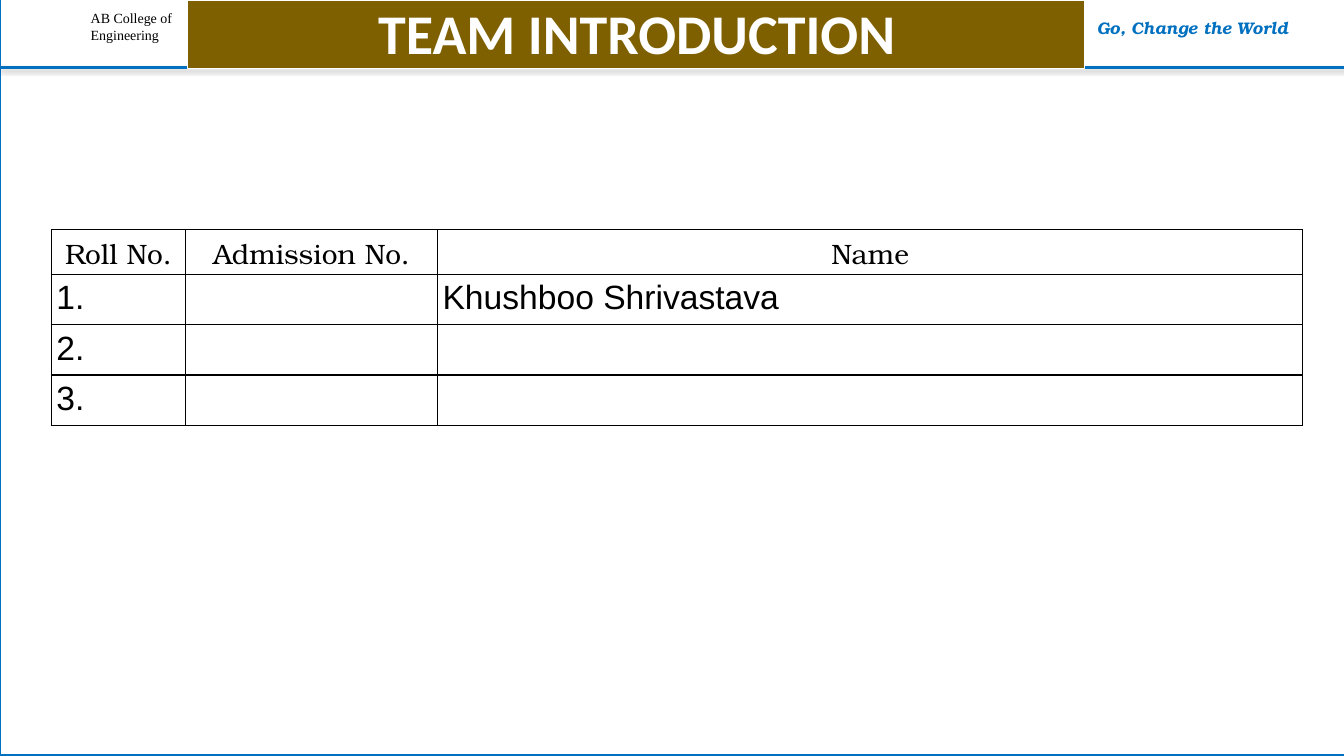
"""Build the team introduction slide."""
from lxml.etree import SubElement as Sub
from pptx import Presentation
from pptx.dml.color import RGBColor
from pptx.enum.shapes import MSO_CONNECTOR as Link, MSO_SHAPE as Form
from pptx.enum.text import MSO_ANCHOR as Anchor, PP_ALIGN as Align
from pptx.oxml import parse_xml
from pptx.oxml.ns import nsdecls, qn
from pptx.util import Inches, Pt

WHITE = RGBColor(0xFF, 0xFF, 0xFF)
BLACK = RGBColor(0, 0, 0)
BLUE = RGBColor(0x00, 0x70, 0xC0)
STEEL = RGBColor(0x2E, 0x75, 0xB5)
OLIVE = RGBColor(0x7F, 0x60, 0x00)

SERIF = "TeX Gyre Bonum"
COLLEGE = {"name": "Times New Roman", "size": Pt(10)}
MOTTO = {"name": SERIF, "size": Pt(12), "bold": True, "italic": True}
TITLE = {"name": "Calibri", "size": Pt(40), "bold": True}
HEAD = {"name": SERIF, "size": Pt(20)}
BODY = {"name": "Arial", "size": Pt(24)}
EDGES = ("a:lnL", "a:lnR", "a:lnT", "a:lnB")
PAD = Inches(0.05)
PADS = ("margin_left", "margin_right", "margin_top", "margin_bottom")

WIDTHS = (1.33, 2.5, 8.58)
TEAM = (
    ("Roll No.", "Admission No.", "Name"),
    ("1.", "", "Khushboo Shrivastava"),
    ("2.", "", ""),
    ("3.", "", ""),
)


def pad(item):
    """Set equal inner margins on a cell or text frame."""
    for side in PADS:
        setattr(item, side, PAD)


def style(para, look, color, align):
    """Apply a format dict to a paragraph's runs."""
    para.alignment = align
    for run in para.runs:
        for key, value in look.items():
            setattr(run.font, key, value)
        run.font.color.rgb = color


def panel(slide, box, fill, line, width):
    """Draw a filled and outlined rectangle."""
    shape = slide.shapes.add_shape(Form.RECTANGLE, *map(Inches, box))
    shape.shadow.inherit = False
    shape.fill.solid()
    shape.fill.fore_color.rgb = fill
    shape.line.color.rgb = line
    shape.line.width = Pt(width)


def label(slide, box, text, look, color, align=Align.LEFT, space=1.0):
    """Add a text box with one paragraph per line of text."""
    frame = slide.shapes.add_textbox(*map(Inches, box)).text_frame
    frame.word_wrap = True
    pad(frame)
    frame.text = text
    for para in frame.paragraphs:
        para.line_spacing = space
        style(para, look, color, align)


def rule(slide, top, right):
    """Draw the header rule with its soft shadow."""
    line = slide.shapes.add_connector(
        Link.STRAIGHT, 0, Inches(top), Inches(right), Inches(top))
    line.line.color.rgb = BLUE
    line.line.width = Pt(2)
    line._element.spPr.append(parse_xml(
        f'<a:effectLst {nsdecls("a")}><a:outerShdw blurRad="{Pt(3)}" '
        f'dist="{Pt(1.6)}" dir="5400000" rotWithShape="0">'
        '<a:srgbClr val="000000"><a:alpha val="37000"/></a:srgbClr>'
        '</a:outerShdw></a:effectLst>'))


def frame_cell(cell):
    """Give a cell thin black borders and no fill."""
    cell.fill.background()
    props = cell._tc.get_or_add_tcPr()
    for spot, edge in enumerate(EDGES):
        line = parse_xml(f'<{edge} {nsdecls("a")} w="{Pt(1)}"/>')
        fill = Sub(line, qn("a:solidFill"))
        Sub(fill, qn("a:srgbClr"), val=str(BLACK))
        props.insert(spot, line)


def roster(slide, left, top):
    """Add the table of team members."""
    high = [0.44] + [0.5] * (len(TEAM) - 1)
    table = slide.shapes.add_table(
        len(TEAM), len(WIDTHS), Inches(left), Inches(top),
        Inches(sum(WIDTHS)), Inches(sum(high))).table
    table.first_row = table.horz_banding = False
    for col, width in zip(table.columns, WIDTHS):
        col.width = Inches(width)
    for i, (row, texts) in enumerate(zip(table.rows, TEAM)):
        row.height = Inches(high[i])
        look, align = (BODY, Align.LEFT) if i else (HEAD, Align.CENTER)
        for cell, text in zip(row.cells, texts):
            cell.text = text
            cell.vertical_anchor = Anchor.TOP
            pad(cell)
            style(cell.text_frame.paragraphs[0], look, BLACK, align)
            frame_cell(cell)


def main():
    """Build and save the slide."""
    deck = Presentation()
    deck.slide_width, deck.slide_height = Inches(13.33), Inches(7.5)
    slide = deck.slides.add_slide(deck.slide_layouts[6])
    slide.background.fill.solid()
    slide.background.fill.fore_color.rgb = STEEL
    panel(slide, (0, -0.01, 13.38, 7.5), WHITE, BLUE, 2)
    label(slide, (0.85, 0.05, 1.37, 0.4), "AB College of\nEngineering",
          COLLEGE, BLACK)
    rule(slide, 0.67, 13.42)
    label(slide, (10.38, 0.13, 2.9, 0.29), "Go, Change the World",
          MOTTO, BLUE, Align.CENTER)
    panel(slide, (1.86, 0, 8.9, 0.68), OLIVE, WHITE, 0.75)
    label(slide, (1.92, 0.01, 8.79, 0.66), "TEAM INTRODUCTION",
          TITLE, WHITE, Align.CENTER, 0.9)
    roster(slide, 0.51, 2.28)
    deck.save("out.pptx")


if __name__ == "__main__":
    main()
